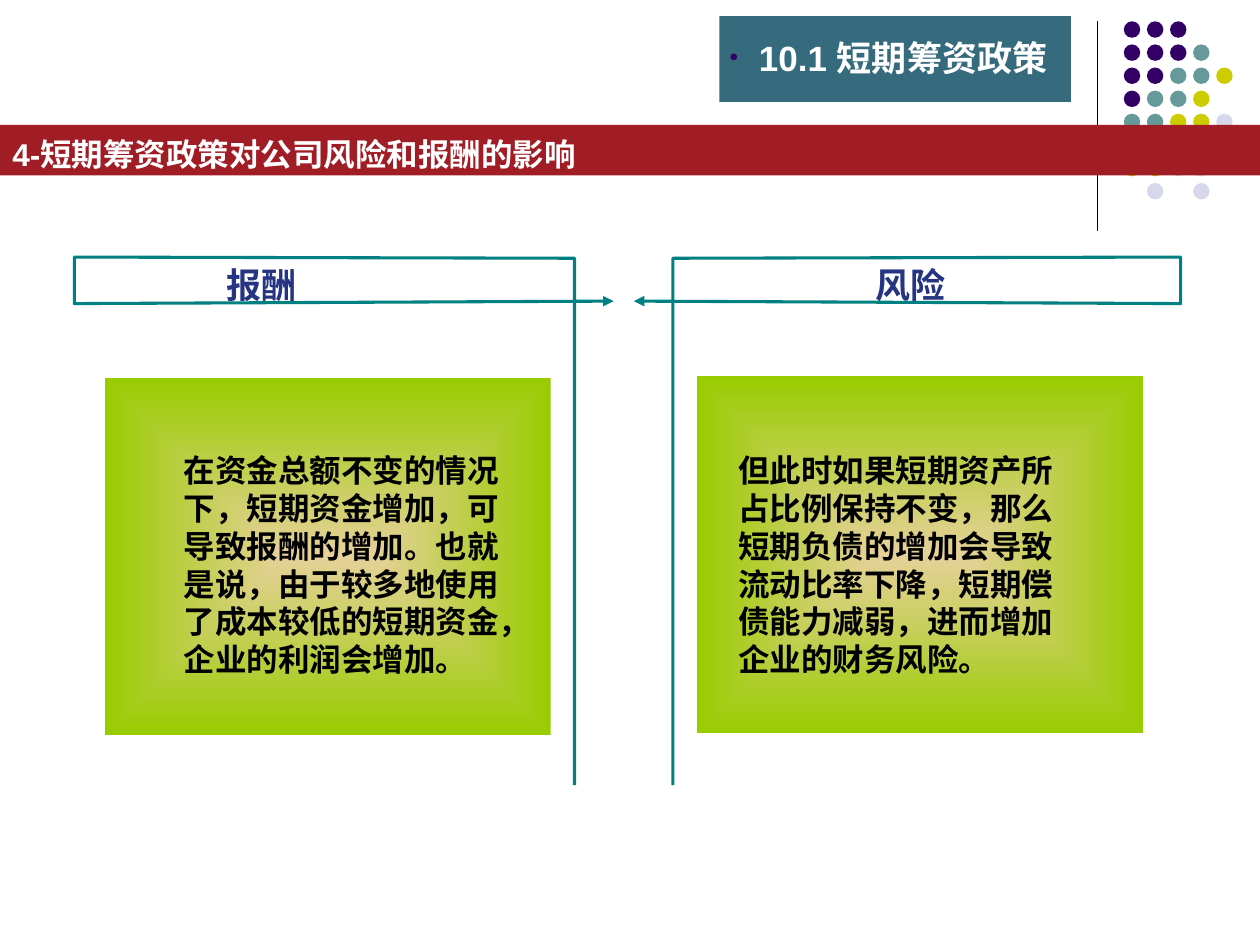
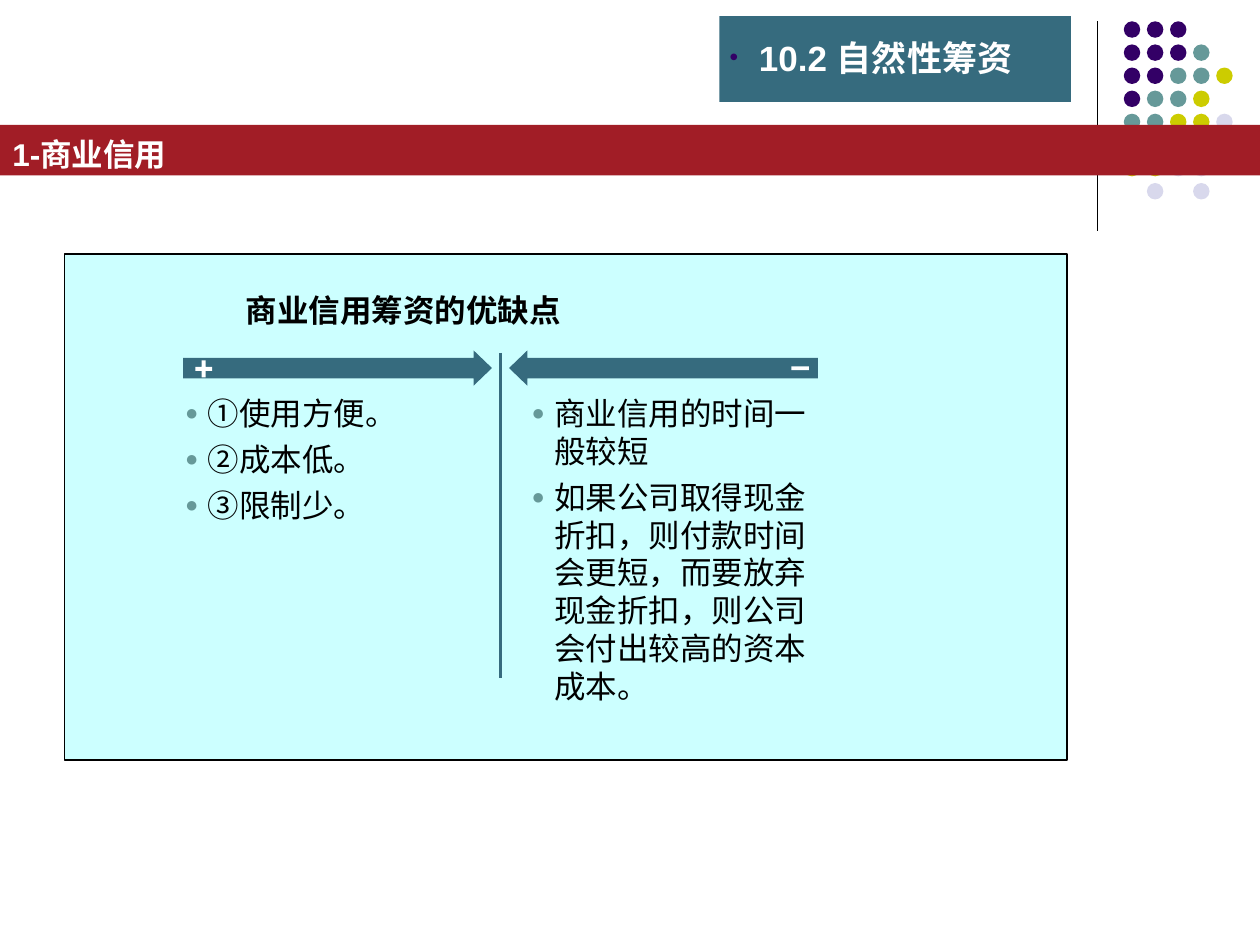
import dataclasses
import typing

import lxml.etree
import pptx
import pptx.dml.color
import pptx.enum.shapes
import pptx.oxml.ns
import pptx.util

Pt = pptx.util.Pt
qn = pptx.oxml.ns.qn
Shapes = pptx.enum.shapes.MSO_SHAPE
Frame = tuple[float, float, float, float]
Point = tuple[float, float]

COLORS = {
    "purple": "330066", "teal": "669999", "olive": "CCCC00", "mist": "D8D8EC",
    "slate": "366B7E", "red": "A11D26", "navy": "263582", "outline": "008080",
    "sand": "E6D199", "lime": "99CC00", "ice": "CCFFFF",
    "black": "000000", "white": "FFFFFF",
}
CHINESE_FONT = "Noto Sans CJK SC"
LINE_RATIO = 1.2
DOT_PITCH, DOT_SIZE = 13.2, 9.4
DOT_ORIGIN = (642.2, 12.2)
DOT_ROWS = ("PPP", "PPPT", "PPTTO", "PTTO", "TTOOM", "", "OOMM", " M M")
DOT_COLORS = {"P": "purple", "T": "teal", "O": "olive", "M": "mist"}


@dataclasses.dataclass(frozen=True)
class Bullet:
    symbol: str
    color: str
    indent: float


@dataclasses.dataclass(frozen=True)
class TextStyle:
    size: float
    color: str = "black"
    bold: bool = True
    font: str = "Arial"
    bullet: typing.Optional[Bullet] = None
    gap: float = 0


@dataclasses.dataclass(frozen=True)
class Argument:
    """One side of the comparison: its heading, bracket and panel."""
    heading: str
    heading_frame: Frame
    bracket: tuple[Point, ...]
    panel: Frame
    body: str
    body_frame: Frame


@dataclasses.dataclass(frozen=True)
class ListColumn:
    arrow: Shapes
    arrow_left: float
    frame: Frame
    items: tuple[str, ...]


TITLE = TextStyle(20, "white", bullet=Bullet("•", "purple", 16.8))
BAND = TextStyle(18, "white")
HEADING = TextStyle(20, "navy", font="Times New Roman")
BODY = TextStyle(18)
LIST = TextStyle(18, bold=False, bullet=Bullet("●", "teal", 13), gap=4.5)

ARGUMENTS = (
    Argument(
        "报酬", (129.6, 150.5, 180, 26),
        ((350.6, 172.1), (42.5, 173.5), (42.5, 146.9), (328.3, 147.6), (328.3, 448.6)),
        (59.8, 216, 254.9, 203.8),
        "在资金总额不变的情况下，短期资金增加，可导致报酬的增加。也就是说，"
        "由于较多地使用了成本较低的短期资金，企业的利润会增加。",
        (105.1, 257.8, 189.4, 152),
    ),
    Argument(
        "风险", (500, 150.5, 148, 26),
        ((362.2, 172.1), (674.6, 173.5), (674.6, 146.9), (384.5, 147.6), (384.5, 448.6)),
        (398.2, 215.1, 254.9, 203.8),
        "但此时如果短期资产所占比例保持不变，那么短期负债的增加会导致"
        "流动比率下降，短期偿债能力减弱，进而增加企业的财务风险。",
        (422, 257.8, 189.4, 130),
    ),
)

LIST_COLUMNS = (
    ListColumn(Shapes.RIGHT_ARROW, 104.7, (105.8, 225.3, 166.3, 74),
               ("①使用方便。", "②成本低。", "③限制少。")),
    ListColumn(Shapes.LEFT_ARROW, 290.9, (303.8, 225.3, 163.4, 178),
               ("商业信用的时间一般较短",
                "如果公司取得现金折扣，则付款时间会更短，而要放弃现金折扣，"
                "则公司会付出较高的资本成本。")),
)


def rgb(name: str) -> pptx.dml.color.RGBColor:
    return pptx.dml.color.RGBColor.from_string(COLORS[name])


def points(*values: float) -> list[int]:
    return [Pt(value) for value in values]


def add_child(parent, tag: str, **attributes: str):
    return lxml.etree.SubElement(parent, qn(tag), attributes)


def add_block(page, kind: Shapes, frame: Frame, fill: str, line: str = "",
              adjustments: tuple[float, ...] = ()):
    block = page.shapes.add_shape(kind, *points(*frame))
    block.shadow.inherit = False
    block.fill.solid()
    block.fill.fore_color.rgb = rgb(fill)
    if line:
        block.line.color.rgb = rgb(line)
        block.line.width = Pt(0.75)
    else:
        block.line.fill.background()
    for index, value in enumerate(adjustments):
        block.adjustments[index] = value
    return block


def add_rule(page, x: float, top: float, bottom: float, color: str, width: float) -> None:
    """Draw a vertical line."""
    rule = page.shapes.add_connector(
        pptx.enum.shapes.MSO_CONNECTOR.STRAIGHT, *points(x, top, x, bottom))
    rule.line.color.rgb = rgb(color)
    rule.line.width = Pt(width)
    add_child(rule._element.spPr, "a:effectLst")


def add_bullet(paragraph, bullet: Bullet) -> None:
    properties = paragraph._p.get_or_add_pPr()
    properties.set("marL", str(Pt(bullet.indent)))
    properties.set("indent", str(-Pt(bullet.indent)))
    color = add_child(properties, "a:buClr")
    add_child(color, "a:srgbClr", val=COLORS[bullet.color])
    add_child(properties, "a:buSzPct", val="70000")
    add_child(properties, "a:buFont", typeface="Arial")
    add_child(properties, "a:buChar", char=bullet.symbol)


def write_text(frame, lines: typing.Iterable[str], style: TextStyle,
               left: float = 0, top: float = 0) -> None:
    """Fill a text frame, one paragraph per line, with the given left and top insets."""
    frame.word_wrap = True
    frame.vertical_anchor = pptx.enum.text.MSO_ANCHOR.TOP
    frame.margin_left, frame.margin_top = points(left, top)
    frame.margin_right = frame.margin_bottom = 0
    frame.text = "\n".join(lines)
    for index, paragraph in enumerate(frame.paragraphs):
        paragraph.alignment = pptx.enum.text.PP_ALIGN.LEFT
        paragraph.line_spacing = Pt(style.size * LINE_RATIO)
        if index:
            paragraph.space_before = Pt(style.gap)
        if style.bullet:
            add_bullet(paragraph, style.bullet)
        for span in paragraph.runs:
            span.font.size = Pt(style.size)
            span.font.bold = style.bold
            span.font.color.rgb = rgb(style.color)
            span.font.name = style.font
            add_child(span._r.get_or_add_rPr(), "a:ea", typeface=CHINESE_FONT)


def add_text(page, frame: Frame, lines: typing.Iterable[str], style: TextStyle) -> None:
    box = page.shapes.add_textbox(*points(*frame))
    write_text(box.text_frame, lines, style)


def add_page(deck, title: str, subtitle: str):
    """Add a page with the dot ornament, section title and red band."""
    page = deck.slides.add_slide(deck.slide_layouts[6])
    add_rule(page, 627.1, 12.2, 131.8, "black", 0.75)
    left, top = DOT_ORIGIN
    for row, codes in enumerate(DOT_ROWS):
        for column, code in enumerate(codes):
            if code in DOT_COLORS:
                frame = (left + column * DOT_PITCH, top + row * DOT_PITCH, DOT_SIZE, DOT_SIZE)
                add_block(page, Shapes.OVAL, frame, DOT_COLORS[code])
    add_block(page, Shapes.RECTANGLE, (411.1, 9.2, 200.9, 49), "slate")
    add_text(page, (416.9, 20.8, 198, 24), [title], TITLE)
    band = add_block(page, Shapes.RECTANGLE, (0, 71.4, 720, 28.8), "red")
    write_text(band.text_frame, [subtitle], BAND, left=7.2, top=6)
    return page


def add_glow_panel(page, frame: Frame) -> None:
    """Draw a rectangle shaded from a sand centre to lime edges."""
    panel = add_block(page, Shapes.RECTANGLE, frame, "lime")
    panel.fill.gradient()
    for stop, color in zip(panel.fill.gradient_stops, ("sand", "lime")):
        stop.color.rgb = rgb(color)
    gradient = panel._element.spPr.find(qn("a:gradFill"))
    linear = gradient.find(qn("a:lin"))
    shading = lxml.etree.Element(qn("a:path"), {"path": "rect"})
    add_child(shading, "a:fillToRect", l="50000", t="50000", r="50000", b="50000")
    gradient.replace(linear, shading)


def add_bracket(page, corners: tuple[Point, ...]) -> None:
    """Draw an open outline with an arrowhead at its first corner."""
    start, *rest = [points(*corner) for corner in corners]
    builder = page.shapes.build_freeform(*start)
    builder.add_line_segments(rest, close=False)
    bracket = builder.convert_to_shape()
    bracket.shadow.inherit = False
    bracket.fill.background()
    bracket.line.color.rgb = rgb("outline")
    bracket.line.width = Pt(1.75)
    add_child(bracket.line._get_or_add_ln(), "a:headEnd", type="triangle")


def build_risk_and_return(deck) -> None:
    page = add_page(deck, "10.1 短期筹资政策", "4-短期筹资政策对公司风险和报酬的影响")
    for argument in ARGUMENTS:
        add_glow_panel(page, argument.panel)
        add_bracket(page, argument.bracket)
        add_text(page, argument.heading_frame, [argument.heading], HEADING)
        add_text(page, argument.body_frame, [argument.body], BODY)


def build_trade_credit(deck) -> None:
    page = add_page(deck, "10.2 自然性筹资", "1-商业信用")
    add_block(page, Shapes.RECTANGLE, (36.9, 145.2, 572.8, 289.2), "ice", "black")
    for column in LIST_COLUMNS:
        add_block(page, column.arrow, (column.arrow_left, 200.2, 176.4, 20.2), "slate",
                  adjustments=(0.58, 0.52))
        add_text(page, column.frame, column.items, LIST)
    add_block(page, Shapes.CROSS, (111.6, 206, 9.6, 9.6), "white", adjustments=(0.38,))
    add_block(page, Shapes.RECTANGLE, (452.2, 209.4, 10, 2.2), "white")
    add_rule(page, 285.8, 201.6, 387.4, "slate", 1.75)
    add_text(page, (140.4, 166.4, 360, 23), ["商业信用筹资的优缺点"], BODY)


def main() -> None:
    deck = pptx.Presentation()
    deck.slide_width, deck.slide_height = points(720, 540)
    build_risk_and_return(deck)
    build_trade_credit(deck)
    deck.save("out.pptx")


if __name__ == "__main__":
    import pptx.enum.text
    main()
